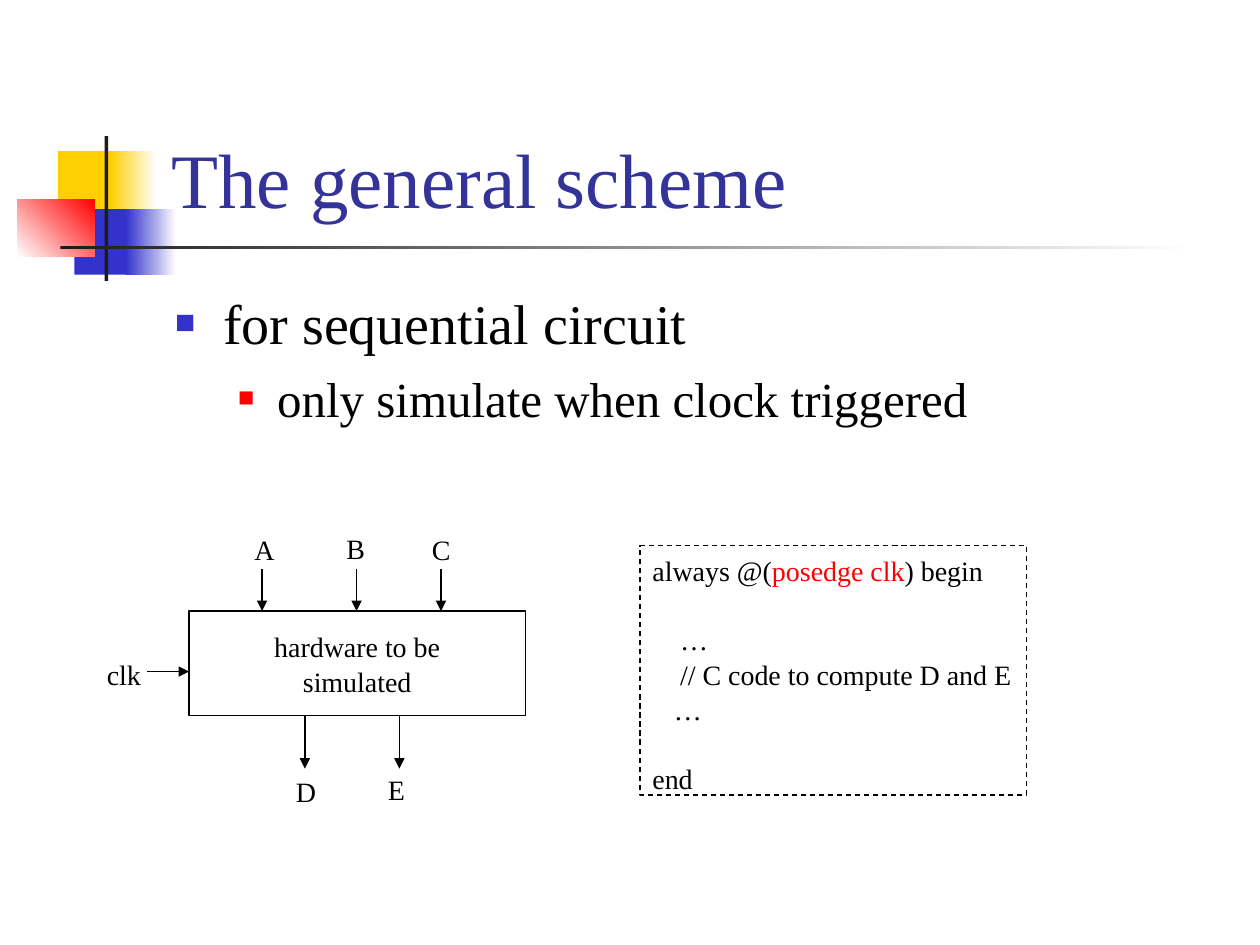
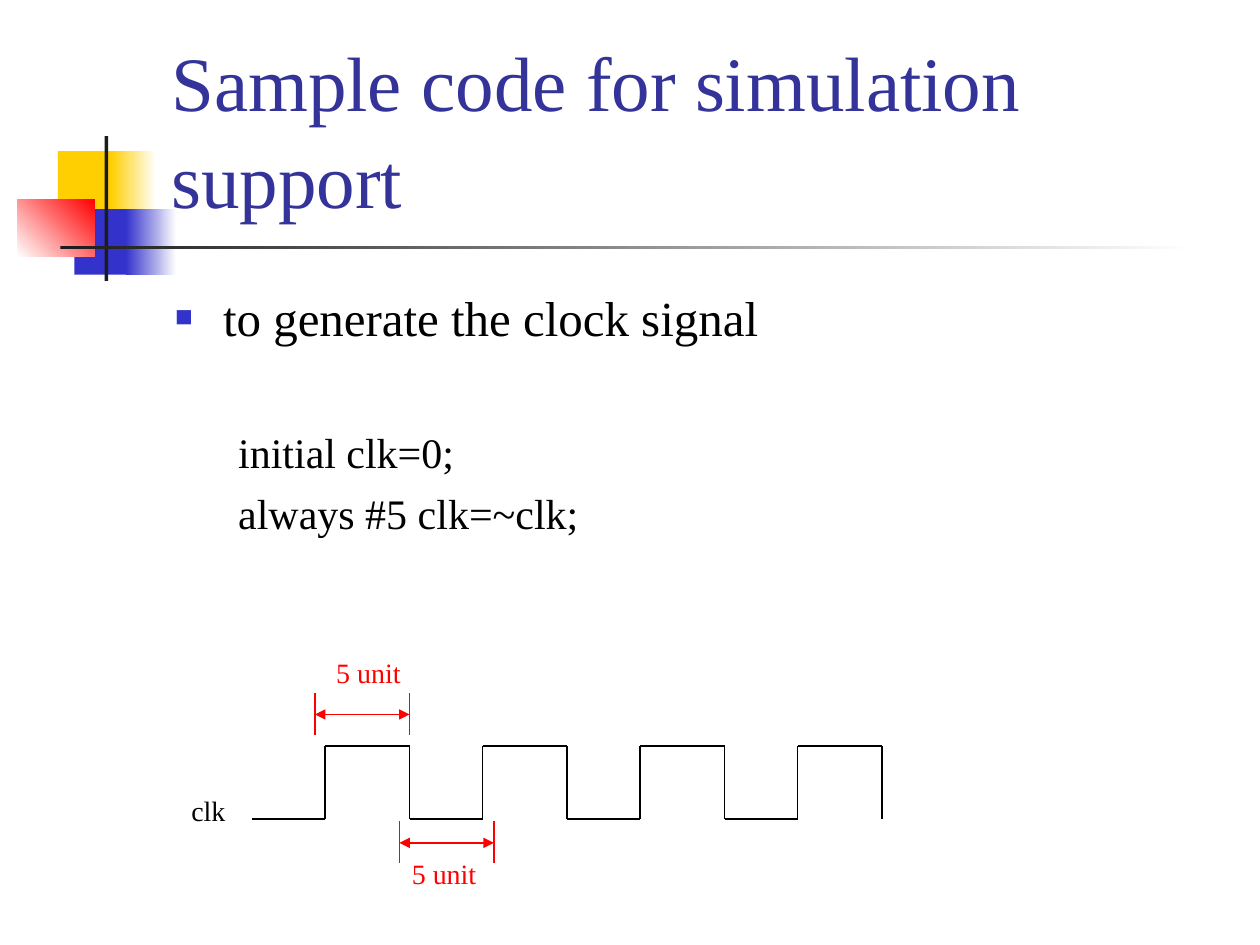
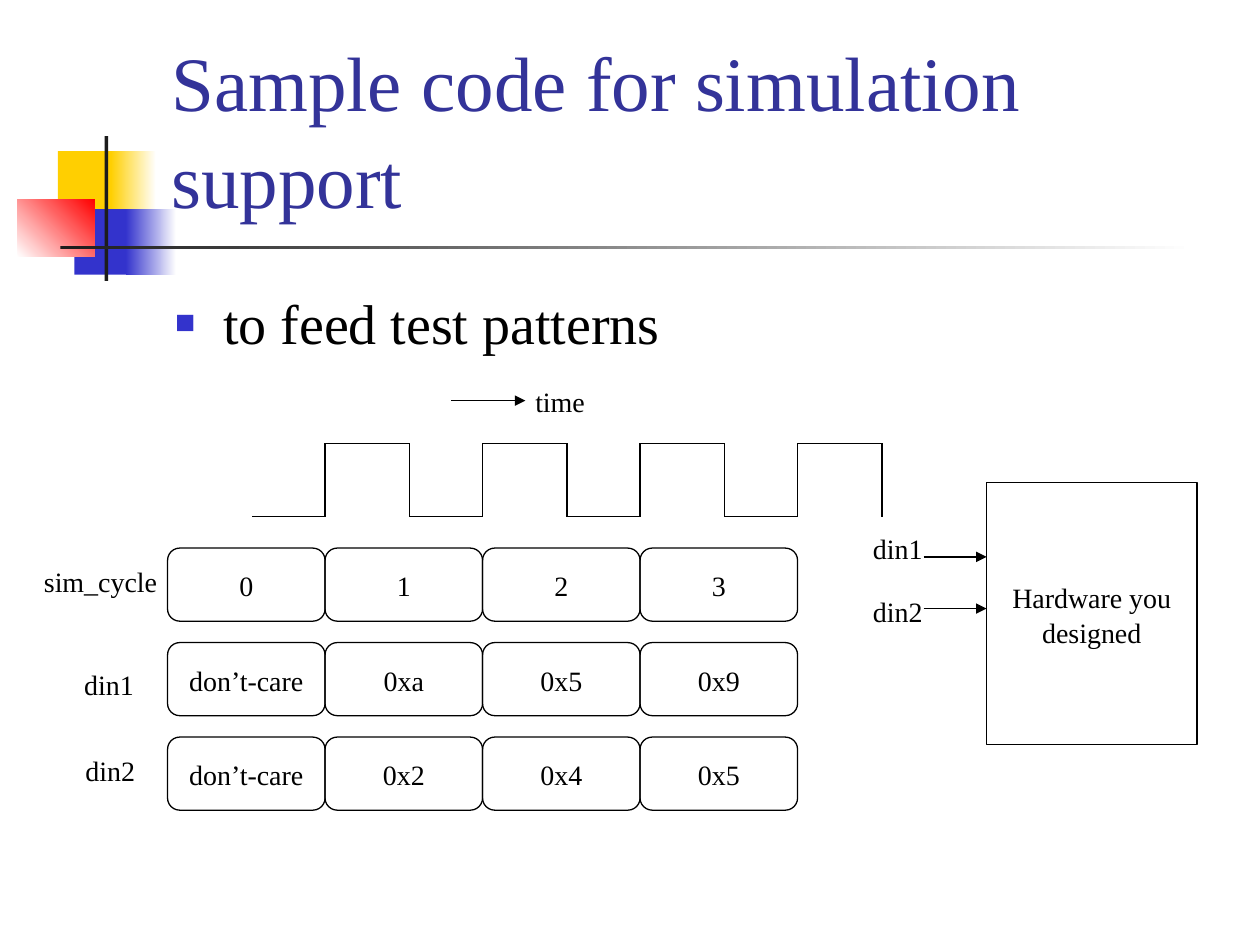
from itertools import pairwise

from lxml.etree import SubElement
from pptx import Presentation
from pptx.dml.color import RGBColor
from pptx.enum.dml import MSO_LINE
from pptx.enum.shapes import MSO_CONNECTOR, MSO_SHAPE
from pptx.enum.text import MSO_ANCHOR, MSO_AUTO_SIZE, PP_ALIGN
from pptx.oxml.ns import qn
from pptx.util import Inches, Pt

BLACK = RGBColor(0x00, 0x00, 0x00)
WHITE = RGBColor(0xFF, 0xFF, 0xFF)
INK = RGBColor(0x1C, 0x1C, 0x1C)
TITLE_BLUE = RGBColor(0x33, 0x33, 0x99)
BLUE = RGBColor(0x33, 0x33, 0xCC)
RED = RGBColor(0xFF, 0x00, 0x00)
YELLOW = RGBColor(0xFF, 0xCF, 0x01)

FONT = "Times New Roman"
DIAGRAM_SIZE = 16
LINE_SPACING = 1.05

# Per list level: left margin, hanging indent, bullet colour, bullet size
LEVELS = [(0.38, -0.38, BLUE, 60), (0.81, -0.31, RED, 55)]

# Title motif: left, top, width, height, first colour, last colour, angle
MOTIF = [
    (0.46, 1.2, 0.48, 0.52, YELLOW, None, 0),
    (0.88, 1.2, 0.36, 0.52, YELLOW, WHITE, 0),
    (0.59, 1.66, 0.46, 0.52, BLUE, None, 0),
    (1, 1.66, 0.4, 0.52, BLUE, WHITE, 0),
    (0.14, 1.58, 0.61, 0.46, WHITE, RED, 45),
    (0.83, 1.08, 0.03, 1.15, INK, None, 0),
    (0.48, 1.95, 9, 0.03, INK, WHITE, 0),
]


def place(shape, left, top, width, height):
    shape.left, shape.top = Inches(left), Inches(top)
    shape.width, shape.height = Inches(width), Inches(height)


def add_run(paragraph, text, size=DIAGRAM_SIZE, color=BLACK):
    run = paragraph.add_run()
    run.text = text
    run.font.name = FONT
    run.font.size = Pt(size)
    run.font.color.rgb = color


def next_paragraph(frame, index):
    paragraph = frame.paragraphs[0] if index == 0 else frame.add_paragraph()
    paragraph.line_spacing = LINE_SPACING
    return paragraph


# Shared look: motif and title position live in the layout
def style_layout(layout, first_slide):
    title = layout.placeholders[0]
    place(title, 1.26, 0.23, 8.52, 1.6)
    title.text_frame.vertical_anchor = MSO_ANCHOR.BOTTOM
    for index, (left, top, width, height, start, end, angle) in enumerate(MOTIF):
        block = first_slide.shapes.add_shape(
            MSO_SHAPE.RECTANGLE, Inches(left), Inches(top), Inches(width), Inches(height))
        block.shadow.inherit = False
        block.line.fill.background()
        if end is None:
            block.fill.solid()
            block.fill.fore_color.rgb = start
        else:
            block.fill.gradient()
            block.fill.gradient_angle = angle
            for stop, color in zip(block.fill.gradient_stops, (start, end)):
                stop.color.rgb = color
        block._element.nvSpPr.cNvPr.id = 20 + index
        layout.shapes._spTree.insert(2 + index, block._element)


def set_title(slide, text):
    frame = slide.shapes.title.text_frame
    frame.auto_size = MSO_AUTO_SIZE.NONE
    paragraph = next_paragraph(frame, 0)
    paragraph.alignment = PP_ALIGN.LEFT
    add_run(paragraph, text, 44, TITLE_BLUE)


def set_bullet(paragraph, level, shown):
    margin, indent, color, percent = LEVELS[level]
    props = paragraph._p.get_or_add_pPr()
    props.set("marL", str(Inches(margin)))
    props.set("indent", str(Inches(indent)))
    if not shown:
        SubElement(props, qn("a:buNone"))
        return
    bullet_color = SubElement(props, qn("a:buClr"))
    SubElement(bullet_color, qn("a:srgbClr"), val=str(color))
    SubElement(props, qn("a:buSzPct"), val=str(percent * 1000))
    SubElement(props, qn("a:buFont"), typeface=FONT)
    SubElement(props, qn("a:buChar"), char="■")


def set_body(slide, height, items):
    """Each item is text, level, size, bullet shown, extra space before."""
    body = slide.placeholders[1]
    place(body, 1.29, 2.21, 8.5, height)
    frame = body.text_frame
    frame.auto_size = MSO_AUTO_SIZE.NONE
    frame.vertical_anchor = MSO_ANCHOR.TOP
    for index, (text, level, size, bullet, gap) in enumerate(items):
        paragraph = next_paragraph(frame, index)
        paragraph.level = level
        paragraph.space_before = Pt(0.2 * size + gap)
        set_bullet(paragraph, level, bullet)
        add_run(paragraph, text, size)


def add_label(slide, text, left, top, width, color=BLACK):
    label = slide.shapes.add_textbox(Inches(left), Inches(top), Inches(width), Inches(0.37))
    frame = label.text_frame
    frame.word_wrap = False
    frame.auto_size = MSO_AUTO_SIZE.SHAPE_TO_FIT_TEXT
    add_run(frame.paragraphs[0], text, color=color)


def add_box(slide, lines, left, top, width, height, kind=MSO_SHAPE.RECTANGLE):
    box = slide.shapes.add_shape(
        kind, Inches(left), Inches(top), Inches(width), Inches(height))
    box.shadow.inherit = False
    box.fill.background()
    box.line.color.rgb = BLACK
    box.line.width = Pt(0.75)
    frame = box.text_frame
    frame.word_wrap = False
    frame.vertical_anchor = MSO_ANCHOR.MIDDLE
    for index, line in enumerate(lines):
        paragraph = next_paragraph(frame, index)
        paragraph.alignment = PP_ALIGN.CENTER
        add_run(paragraph, line)
    return box


def add_line(slide, start, end, color=BLACK, head=False, tail=False):
    line = slide.shapes.add_connector(
        MSO_CONNECTOR.STRAIGHT, *(Inches(value) for value in (*start, *end)))
    line.line.color.rgb = color
    line.line.width = Pt(0.75)
    outline = line.line._get_or_add_ln()
    for shown, tag in ((head, "a:headEnd"), (tail, "a:tailEnd")):
        if shown:
            SubElement(outline, qn(tag), type="triangle")
    SubElement(line._element.spPr, qn("a:effectLst"))


def add_clock(slide, low):
    """Four pulses, 1.25 inches apart, standing on the given low level."""
    high = low - 0.58
    points = [(2, low)]
    for cycle in range(4):
        rise = 2.58 + 1.25 * cycle
        fall = rise + 0.67
        points += [(rise, low), (rise, high), (fall, high), (fall, low)]
    for start, end in pairwise(points):
        add_line(slide, start, end)


def add_interval(slide, left, top, label_left, label_top):
    right, middle, bottom = left + 0.75, top + 0.17, top + 0.33
    for x in (left, right):
        add_line(slide, (x, top), (x, bottom), RED)
    add_line(slide, (left, middle), (right, middle), RED, head=True, tail=True)
    add_label(slide, "5 unit", label_left, label_top, 0.72, RED)


def add_code(slide):
    code = add_box(slide, [], 5.08, 4.33, 3.07, 1.98)
    code.line.dash_style = MSO_LINE.DASH
    frame = code.text_frame
    frame.vertical_anchor = MSO_ANCHOR.TOP
    # Each line: indent in inches, space before in points, coloured pieces
    lines = [
        (0, 0, [("always @(", BLACK), ("posedge clk", RED), (") begin", BLACK)]),
        (0.22, 19.3, [("…", BLACK)]),
        (0.22, 0, [("// C code to compute D and E", BLACK)]),
        (0.17, 0, [("…", BLACK)]),
        (0, 19.3, [("end", BLACK)]),
    ]
    for index, (indent, gap, pieces) in enumerate(lines):
        paragraph = next_paragraph(frame, index)
        paragraph.alignment = PP_ALIGN.LEFT
        paragraph.space_before = Pt(gap)
        paragraph._p.get_or_add_pPr().set("marL", str(Inches(indent)))
        for text, color in pieces:
            add_run(paragraph, text, color=color)


def build_scheme(slide):
    set_title(slide, "The general scheme")
    set_body(slide, 1.46, [
        ("for sequential circuit", 0, 32, True, 0),
        ("only simulate when clock triggered", 1, 28, True, 0),
    ])
    # Hardware block with its inputs and outputs
    add_box(slide, ["hardware to be", "simulated"], 1.5, 4.85, 2.67, 0.83)
    for x in (2.08, 2.83, 3.5):
        add_line(slide, (x, 4.52), (x, 4.85), tail=True)
    for x in (2.42, 3.17):
        add_line(slide, (x, 5.68), (x, 6.1), tail=True)
    add_line(slide, (1.17, 5.33), (1.5, 5.33), tail=True)
    for signal, left, top, width in (
            ("A", 1.92, 4.18, 0.36), ("B", 2.65, 4.17, 0.35), ("C", 3.33, 4.18, 0.35),
            ("D", 2.25, 6.1, 0.36), ("E", 2.98, 6.08, 0.34), ("clk", 0.75, 5.17, 0.47)):
        add_label(slide, signal, left, top, width)
    add_code(slide)


def build_clock(slide):
    set_title(slide, "Sample code for simulation support")
    set_body(slide, 2.13, [
        ("to generate the clock signal", 0, 28, True, 0),
        ("initial clk=0;", 1, 24, False, 39.4),
        ("always #5 clk=~clk;", 1, 24, False, 0),
    ])
    add_clock(slide, 6.5)
    add_label(slide, "clk", 1.42, 6.25, 0.47)
    add_interval(slide, 2.5, 5.5, 2.57, 5.15)
    add_interval(slide, 3.17, 6.52, 3.17, 6.75)


def build_patterns(slide):
    set_title(slide, "Sample code for simulation support")
    set_body(slide, 0.71, [("to feed test patterns", 0, 32, True, 0)])
    # Designed hardware and its inputs
    add_box(slide, ["Hardware you", "designed"], 7.83, 3.83, 1.67, 2.08)
    for signal, label_top, y in (("din1", 4.17, 4.42), ("din2", 4.67, 4.83)):
        add_line(slide, (7.33, y), (7.83, y), tail=True)
        add_label(slide, signal, 6.83, label_top, 0.6)
    # Time axis and values in each cycle
    add_line(slide, (3.58, 3.18), (4.17, 3.18), tail=True)
    add_label(slide, "time", 4.15, 3, 0.6)
    add_clock(slide, 4.1)
    signals = [
        ("sim_cycle", 0.25, 4.43, 1.11, ["0", "1", "2", "3"]),
        ("din1", 0.57, 5.25, 0.6, ["don’t-care", "0xa", "0x5", "0x9"]),
        ("din2", 0.58, 5.93, 0.6, ["don’t-care", "0x2", "0x4", "0x5"]),
    ]
    for row, (signal, left, top, width, values) in enumerate(signals):
        add_label(slide, signal, left, top, width)
        for cycle, value in enumerate(values):
            add_box(slide, [value], 1.33 + 1.25 * cycle, 4.35 + 0.75 * row,
                    1.25, 0.58, MSO_SHAPE.ROUNDED_RECTANGLE)


def main():
    deck = Presentation()
    deck.slide_width, deck.slide_height = Inches(10), Inches(7.5)
    layout = deck.slide_layouts[1]
    scheme, clock, patterns = (deck.slides.add_slide(layout) for _ in range(3))
    style_layout(layout, scheme)
    build_scheme(scheme)
    build_clock(clock)
    build_patterns(patterns)
    deck.save("out.pptx")


main()
